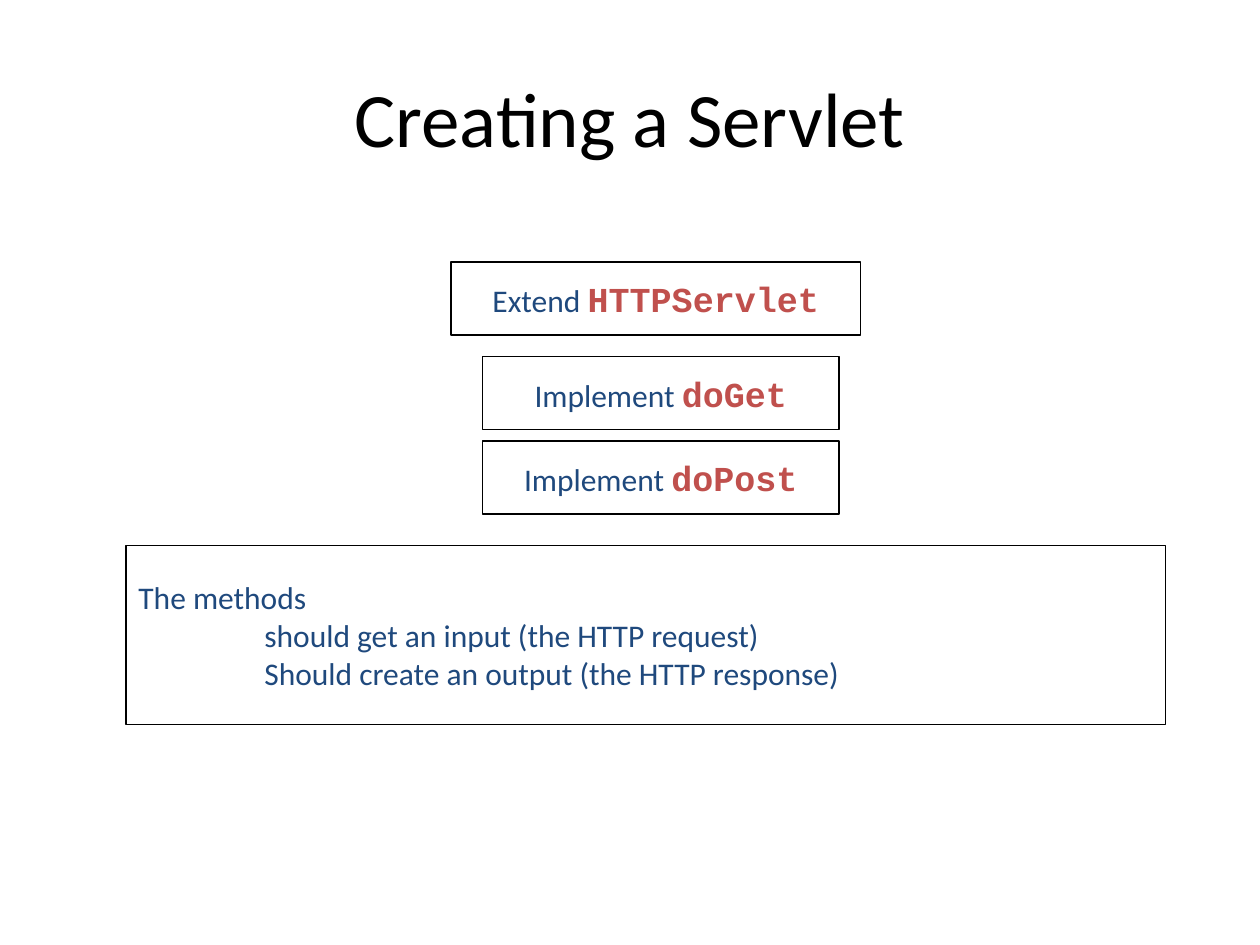
from pptx import Presentation
from pptx.dml.color import RGBColor
from pptx.enum.shapes import MSO_SHAPE
from pptx.enum.text import MSO_ANCHOR, PP_ALIGN
from pptx.util import Inches, Pt

BLACK = "000000"
NAVY = "1F497D"
RED = "C0504D"


def set_font(font, size, color, name="Calibri", bold=False):
    font.name = name
    font.size = Pt(size)
    font.bold = bold
    font.color.rgb = RGBColor.from_string(color)


def add_title(slide, text):
    frame = slide.shapes.add_textbox(
        Inches(0.5), Inches(0.3), Inches(9), Inches(1.25)).text_frame
    frame.word_wrap = True
    frame.vertical_anchor = MSO_ANCHOR.MIDDLE
    paragraph = frame.paragraphs[0]
    paragraph.text = text
    paragraph.alignment = PP_ALIGN.CENTER
    set_font(paragraph.font, 44, BLACK)


def add_box(slide, left, top, width, height):
    """Add an outlined box and return its text frame."""
    shape = slide.shapes.add_shape(
        MSO_SHAPE.RECTANGLE, Inches(left), Inches(top), Inches(width), Inches(height))
    shape.shadow.inherit = False
    shape.fill.background()
    shape.line.color.rgb = RGBColor.from_string(BLACK)
    shape.line.width = Pt(0.75)
    frame = shape.text_frame
    frame.word_wrap = True
    frame.vertical_anchor = MSO_ANCHOR.MIDDLE
    return frame


def add_step(slide, left, top, width, action, code):
    paragraph = add_box(slide, left, top, width, 0.58).paragraphs[0]
    paragraph.alignment = PP_ALIGN.CENTER
    action_run = paragraph.add_run()
    action_run.text = action + " "
    set_font(action_run.font, 18, NAVY)
    code_run = paragraph.add_run()
    code_run.text = code
    set_font(code_run.font, 20, RED, "Courier New", bold=True)


def add_methods(slide, heading, duties):
    frame = add_box(slide, 1, 4.33, 8.25, 1.42)
    frame.text = "\n".join([heading, *duties])
    for paragraph in frame.paragraphs:
        paragraph.alignment = PP_ALIGN.LEFT
        set_font(paragraph.font, 18, NAVY)
    # Indent the duties under the heading
    for paragraph in frame.paragraphs[1:]:
        paragraph._p.get_or_add_pPr().set("marL", str(Inches(1)))


def main():
    presentation = Presentation()
    presentation.slide_width = Inches(10)
    presentation.slide_height = Inches(7.5)
    slide = presentation.slides.add_slide(presentation.slide_layouts[6])

    add_title(slide, "Creating a Servlet")

    # Steps
    add_step(slide, 3.58, 2.08, 3.25, "Extend", "HTTPServlet")
    for top, method in [(2.83, "doGet"), (3.5, "doPost")]:
        add_step(slide, 3.83, top, 2.83, "Implement", method)

    # What the methods do
    add_methods(slide, "The methods", [
        "should get an input (the HTTP request)",
        "Should create an output (the HTTP response)",
    ])

    presentation.save("out.pptx")


if __name__ == "__main__":
    main()
